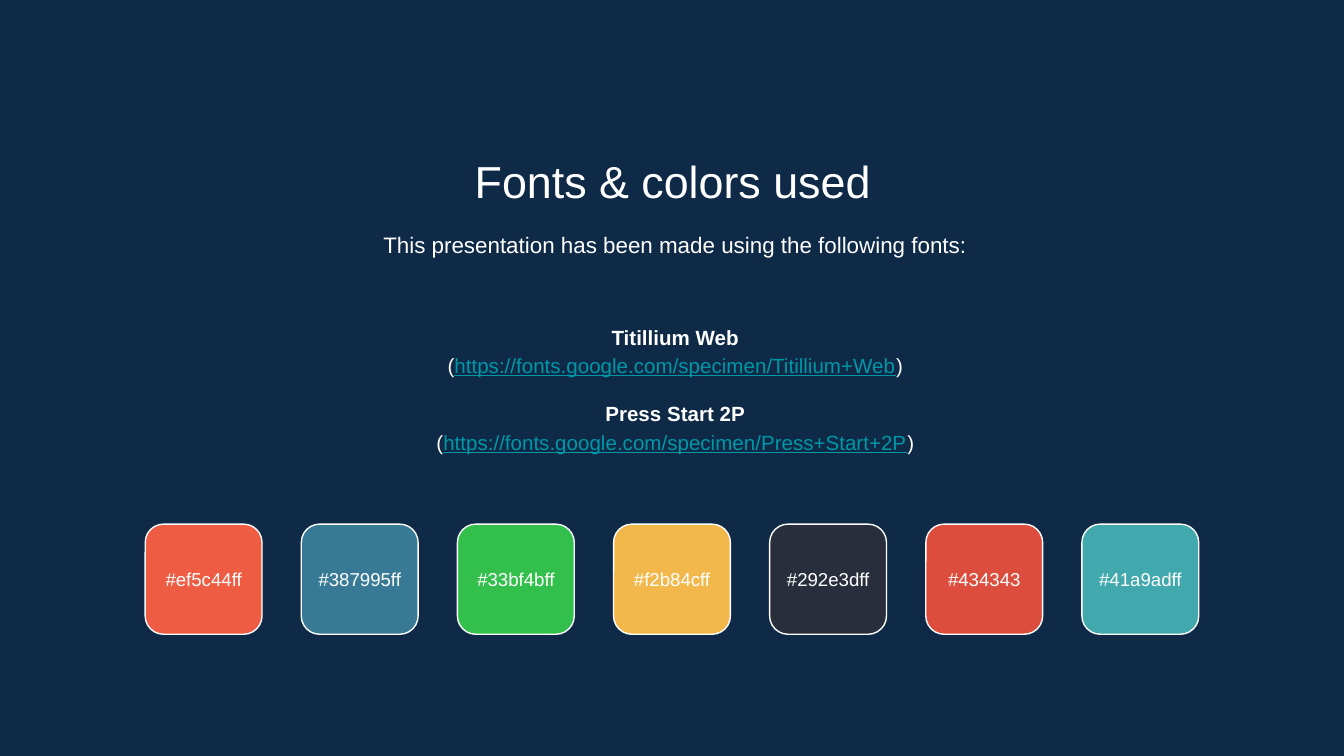
"""Build a slide that lists the fonts and colors of a presentation."""
from dataclasses import dataclass
from typing import Any

import pptx
import pptx.dml.color
import pptx.enum.shapes
import pptx.enum.text
import pptx.shapes.autoshape
import pptx.slide
import pptx.util

Pt = pptx.util.Pt
RGBColor = pptx.dml.color.RGBColor
Anchor = pptx.enum.text.MSO_ANCHOR

NAVY = RGBColor(0x0E, 0x2A, 0x47)
WHITE = RGBColor(0xFF, 0xFF, 0xFF)
LINK_TEAL = RGBColor(0x00, 0x97, 0xA7)
CORAL = RGBColor(0xEF, 0x5C, 0x44)
BLUE = RGBColor(0x38, 0x79, 0x95)
GREEN = RGBColor(0x33, 0xBF, 0x4B)
AMBER = RGBColor(0xF2, 0xB8, 0x4C)
CHARCOAL = RGBColor(0x29, 0x2E, 0x3D)
RED = RGBColor(0xDD, 0x4D, 0x3E)
TEAL = RGBColor(0x41, 0xA9, 0xAD)

SWATCH_LEFT, SWATCH_TOP, SWATCH_STEP = 77.8, 280.8, 83.64
SWATCH_WIDTH, SWATCH_HEIGHT, LABEL_HEIGHT = 62.6, 59, 34.6
INSET = 7.2


@dataclass
class Box:
    left: float
    top: float
    width: float
    height: float

    def lengths(self) -> list[int]:
        return [Pt(value) for value in (self.left, self.top, self.width, self.height)]


@dataclass
class TextRun:
    text: str
    size: float
    color: RGBColor = WHITE
    bold: bool = False
    underline: bool = False


@dataclass
class Line:
    runs: list[TextRun]
    spacing: float = 1.0
    before: float = 0


@dataclass
class Swatch:
    label: str
    color: RGBColor


SWATCHES = [
    Swatch("#ef5c44ff", CORAL),
    Swatch("#387995ff", BLUE),
    Swatch("#33bf4bff", GREEN),
    Swatch("#f2b84cff", AMBER),
    Swatch("#292e3dff", CHARCOAL),
    Swatch("#434343", RED),
    Swatch("#41a9adff", TEAL),
]


def apply_format(target: Any, values: dict[str, Any]) -> None:
    for name, value in values.items():
        setattr(target, name, value)


def write_lines(shape: pptx.shapes.autoshape.Shape, lines: list[Line],
                anchor: Anchor = Anchor.TOP, top_inset: float = INSET) -> None:
    frame = shape.text_frame
    apply_format(frame, {
        "word_wrap": True,
        "auto_size": pptx.enum.text.MSO_AUTO_SIZE.NONE,
        "vertical_anchor": anchor,
        "margin_left": Pt(INSET),
        "margin_right": Pt(INSET),
        "margin_top": Pt(top_inset),
        "margin_bottom": Pt(INSET),
    })
    for index, line in enumerate(lines):
        paragraph = frame.add_paragraph() if index else frame.paragraphs[0]
        apply_format(paragraph, {
            "alignment": pptx.enum.text.PP_ALIGN.CENTER,
            "line_spacing": line.spacing,
            "space_before": Pt(line.before),
        })
        for text_run in line.runs:
            run = paragraph.add_run()
            run.text = text_run.text
            apply_format(run.font, {
                "name": "Arial",
                "size": Pt(text_run.size),
                "bold": text_run.bold,
                "underline": text_run.underline,
            })
            run.font.color.rgb = text_run.color


def font_lines(name: str, address: str, before: float = 0) -> list[Line]:
    link = [TextRun("(", 11), TextRun(address, 11, LINK_TEAL, underline=True), TextRun(")", 11)]
    return [Line([TextRun(name, 11, bold=True)], 1.15, before), Line(link, 1.15)]


def draw_swatch(slide: pptx.slide.Slide, swatch: Swatch, left: float) -> None:
    tile = Box(left, SWATCH_TOP, SWATCH_WIDTH, SWATCH_HEIGHT)
    shape = slide.shapes.add_shape(
        pptx.enum.shapes.MSO_SHAPE.ROUNDED_RECTANGLE, *tile.lengths())
    shape.shadow.inherit = False
    shape.fill.solid()
    shape.fill.fore_color.rgb = swatch.color
    shape.line.color.rgb = WHITE
    shape.line.width = Pt(0.75)
    label_top = SWATCH_TOP + (SWATCH_HEIGHT - LABEL_HEIGHT) / 2
    label = slide.shapes.add_textbox(
        *Box(left, label_top, SWATCH_WIDTH, LABEL_HEIGHT).lengths())
    write_lines(label, [Line([TextRun(swatch.label, 10)])], Anchor.MIDDLE)


def main() -> None:
    presentation = pptx.Presentation()
    presentation.slide_width, presentation.slide_height = Pt(720), Pt(405)
    slide = presentation.slides.add_slide(presentation.slide_layouts.get_by_name("Title Only"))
    slide.background.fill.solid()
    slide.background.fill.fore_color.rgb = NAVY

    title = slide.shapes.title
    left, top, width, height = Box(82.8, 74.9, 555.1, 38.2).lengths()
    apply_format(title, {"left": left, "top": top, "width": width, "height": height})
    write_lines(title, [Line([TextRun("Fonts & colors used", 24)])])

    introduction = slide.shapes.add_textbox(*Box(84.2, 114.5, 555.1, 34.6).lengths())
    sentence = "This presentation has been made using the following fonts:"
    write_lines(introduction, [Line([TextRun(sentence, 12)], 1.15)])

    fonts = slide.shapes.add_textbox(*Box(84.2, 151.2, 555.1, 98.6).lengths())
    lines = font_lines("Titillium Web", "https://fonts.google.com/specimen/Titillium+Web")
    lines += font_lines(
        "Press Start 2P", "https://fonts.google.com/specimen/Press+Start+2P", before=10.6)
    write_lines(fonts, lines, Anchor.MIDDLE, top_inset=21.7)

    for index, swatch in enumerate(SWATCHES):
        draw_swatch(slide, swatch, SWATCH_LEFT + index * SWATCH_STEP)

    presentation.save("out.pptx")


if __name__ == "__main__":
    main()
